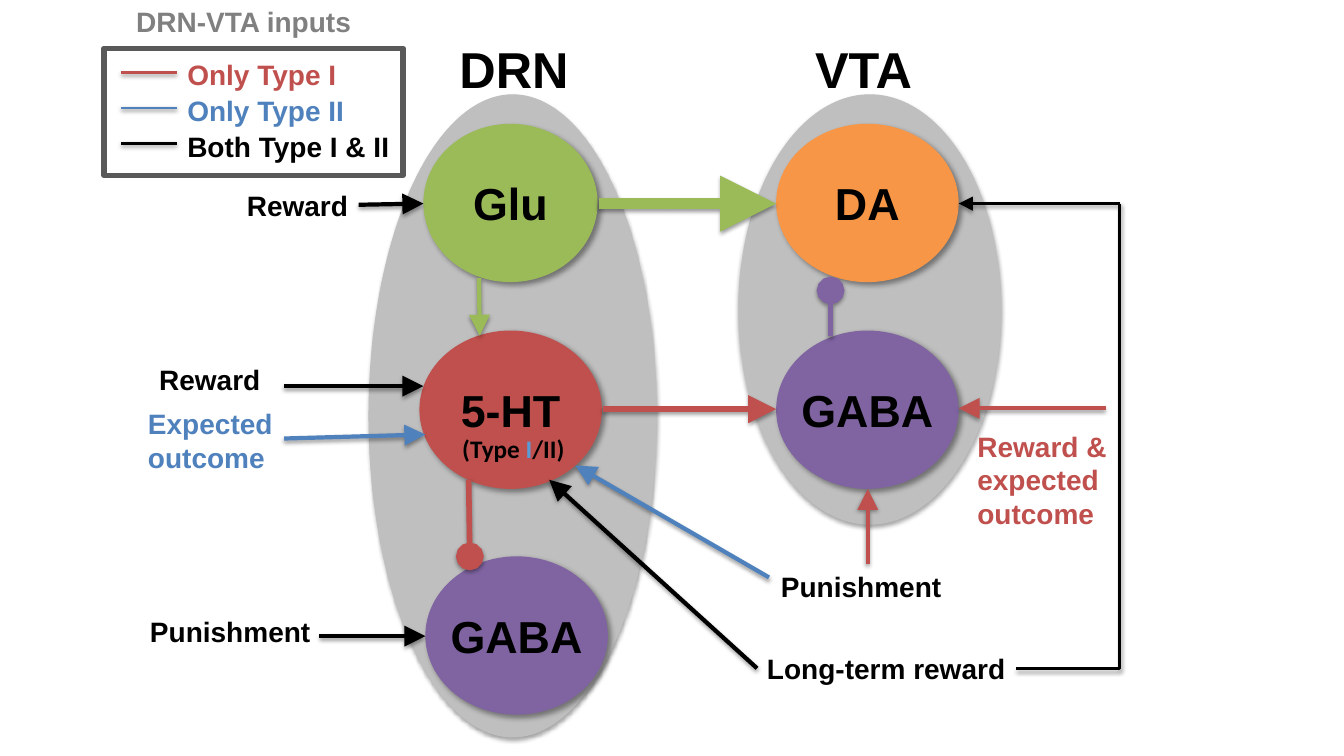
from lxml import etree
from pptx import Presentation
from pptx.dml.color import RGBColor
from pptx.enum.shapes import MSO_CONNECTOR, MSO_SHAPE
from pptx.enum.text import MSO_ANCHOR, PP_ALIGN
from pptx.oxml.ns import qn
from pptx.util import Cm, Pt

OVAL, RECT = MSO_SHAPE.OVAL, MSO_SHAPE.RECTANGLE
STRAIGHT, ELBOW = MSO_CONNECTOR.STRAIGHT, MSO_CONNECTOR.ELBOW
LEFT, CENTER = PP_ALIGN.LEFT, PP_ALIGN.CENTER
TOP, MIDDLE = MSO_ANCHOR.TOP, MSO_ANCHOR.MIDDLE

BLACK, GRAY, DARK, MUTED = "000000", "BFBFBF", "595959", "808080"
RED, BLUE, GREEN = "C0504D", "4F81BD", "9BBB59"
PURPLE, ORANGE, LIGHT_BLUE = "8064A2", "F79646", "5B9BD5"

REGION_SHADOW = (35, 3.1, 1.8, 90)
CELL_SHADOW = (40, 4, 3, 45)
LINE_SHADOW = (38, 3.1, 1.6, 90)


def rgb(color):
    """Turn a hex string into a colour."""
    return RGBColor.from_string(color)


def add_shadow(sp, opacity, blur, dist, angle):
    """Give a shape or connector an outer black shadow."""
    spPr = sp._element.spPr
    effects = spPr.find(qn("a:effectLst"))
    if effects is None:
        effects = etree.SubElement(spPr, qn("a:effectLst"))
    shadow = etree.SubElement(
        effects, qn("a:outerShdw"), blurRad=str(Pt(blur)), dist=str(Pt(dist)),
        dir=str(angle * 60000), rotWithShape="0")
    color = etree.SubElement(shadow, qn("a:srgbClr"), val=BLACK)
    etree.SubElement(color, qn("a:alpha"), val=str(opacity * 1000))


def add_run(p, text, size=20, color=BLACK, font="Arial"):
    """Append a bold run to a paragraph."""
    r = p.add_run()
    r.text = text
    r.font.size, r.font.name, r.font.bold = Pt(size), font, True
    r.font.color.rgb = rgb(color)


def add_box(s, kind, box, fill=None, line=None, width=0.75, shadow=None):
    """Draw a preset shape with optional fill, outline and shadow."""
    sp = s.shapes.add_shape(kind, *map(Cm, box))
    sp.shadow.inherit = False
    if fill:
        sp.fill.solid()
        sp.fill.fore_color.rgb = rgb(fill)
    else:
        sp.fill.background()
    if line:
        sp.line.color.rgb = rgb(line)
        sp.line.width = Pt(width)
    else:
        sp.line.fill.background()
    if shadow:
        add_shadow(sp, *shadow)
    return sp


def add_cell(s, text, box, fill):
    """Draw a labelled neuron population."""
    sp = add_box(s, OVAL, box, fill, shadow=CELL_SHADOW)
    tf = sp.text_frame
    tf.word_wrap = False
    tf.vertical_anchor = MIDDLE
    p = tf.paragraphs[0]
    p.alignment = CENTER
    add_run(p, text, size=32)


def add_label(s, runs, x, y, w, h=1.12, wrap=False, **fmt):
    """Place a text box holding (text, colour) runs."""
    tf = s.shapes.add_textbox(Cm(x), Cm(y), Cm(w), Cm(h)).text_frame
    tf.word_wrap = wrap
    tf.vertical_anchor = TOP
    p = tf.paragraphs[0]
    p.alignment = LEFT
    for text, color in runs:
        add_run(p, text, color=color, **fmt)


def add_line(s, start, end, color=BLACK, width=3, head="triangle", kind=STRAIGHT):
    """Connect two points, with a large head at the end if one is named."""
    c = s.shapes.add_connector(kind, *map(Cm, start + end))
    c.line.color.rgb = rgb(color)
    c.line.width = Pt(width)
    spPr = c._element.spPr
    if kind == ELBOW:
        spPr.find(qn("a:prstGeom")).set("prst", "bentConnector2")
    if head:
        etree.SubElement(spPr.find(qn("a:ln")), qn("a:tailEnd"),
                         type=head, w="lg", len="lg")
    add_shadow(c, *LINE_SHADOW)


def add_legend(s):
    """Draw the framed key of input types."""
    add_label(s, [("DRN-VTA inputs", MUTED)], 3.18, 0, 6.07)
    entries = [("Only Type I", RED), ("Only Type II", BLUE), ("Both Type I & II", BLACK)]
    for i, (text, color) in enumerate(entries):
        y = 1.83 + 0.89 * i
        add_line(s, (3.05, y), (4.45, y), color, 2, head=None)
        add_label(s, [(text, color)], 4.47, 1.32 + 0.915 * i, 5.69)
    add_box(s, RECT, (2.62, 1.22, 7.54, 3.2), line=DARK, width=4)


def main():
    """Build the circuit slide."""
    prs = Presentation()
    prs.slide_width, prs.slide_height = Cm(33.87), Cm(19.05)
    s = prs.slides.add_slide(prs.slide_layouts[6])

    for box in [(18.62, 2.39, 6.6, 10.82), (9.3, 2.39, 7.24, 16.18)]:
        add_box(s, OVAL, box, GRAY, GRAY, shadow=REGION_SHADOW)
    for text, x, y, w, fill in [
        ("5-HT", 10.57, 8.33, 4.6, RED),
        ("Glu", 10.67, 3.12, 4.39, GREEN),
        ("GABA", 10.72, 14.02, 4.6, PURPLE),
        ("DA", 19.56, 3.12, 4.6, ORANGE),
        ("GABA", 19.56, 8.33, 4.6, PURPLE),
    ]:
        add_cell(s, text, (x, y, w, 3.99), fill)

    for start, end, color, width, head in [
        ((15.09, 5.13), (19.56, 5.13), GREEN, 8, "triangle"),
        ((15.19, 10.31), (19.56, 10.31), RED, 4, "triangle"),
        ((12.07, 7.01), (12.09, 8.46), GREEN, 3, "triangle"),
        ((20.93, 8.46), (20.93, 7.32), PURPLE, 4, "oval"),
        ((11.81, 12.09), (11.84, 14.02), RED, 4, "oval"),
        ((28.22, 5.13), (24.16, 5.13), BLACK, 2, "triangle"),
    ]:
        add_line(s, start, end, color, width, head)
    for start, end, color in [
        ((9.04, 5.16), (10.67, 5.13), BLACK),
        ((7.16, 9.73), (10.67, 9.73), BLACK),
        ((7.16, 11.05), (10.72, 10.95), BLUE),
        ((8.05, 16.03), (10.72, 16.03), BLACK),
        ((19.38, 14.55), (14.5, 11.73), BLUE),
        ((19.08, 16.84), (13.84, 12.09), BLACK),
        ((21.87, 14.22), (21.87, 12.32), RED),
        ((27.86, 10.29), (24.16, 10.29), RED),
    ]:
        add_line(s, start, end, color)
    add_line(s, (25.6, 16.84), (28.22, 5.13), width=2, head=None, kind=ELBOW)

    for text, x, w in [("DRN", 11.33, 3.3), ("VTA", 20.29, 3.07)]:
        add_label(s, [(text, BLACK)], x, 0.84, w, 1.8, size=36)
    for text, x, y, w in [
        ("Reward", 5.97, 4.62, 3.1),
        ("Reward", 3.76, 9.02, 3.1),
        ("Punishment", 3.53, 15.37, 4.6),
        ("Punishment", 19.43, 14.22, 4.6),
        ("Long-term reward", 19.08, 16.28, 6.53),
    ]:
        add_label(s, [(text, BLACK)], x, y, w)
    add_label(s, [("Expected outcome", BLUE)], 3.48, 10.13, 5, 1.96, wrap=True)
    add_label(s, [("Reward & expected outcome", RED)], 24.38, 10.69, 3.86, 2.82, wrap=True)
    add_label(s, [("(Type ", BLACK), ("I", LIGHT_BLUE), ("/II)", BLACK)],
              11.4, 10.8, 3.3, 1.02, wrap=True, size=18, font="Calibri")
    add_legend(s)
    prs.save("out.pptx")


main()
